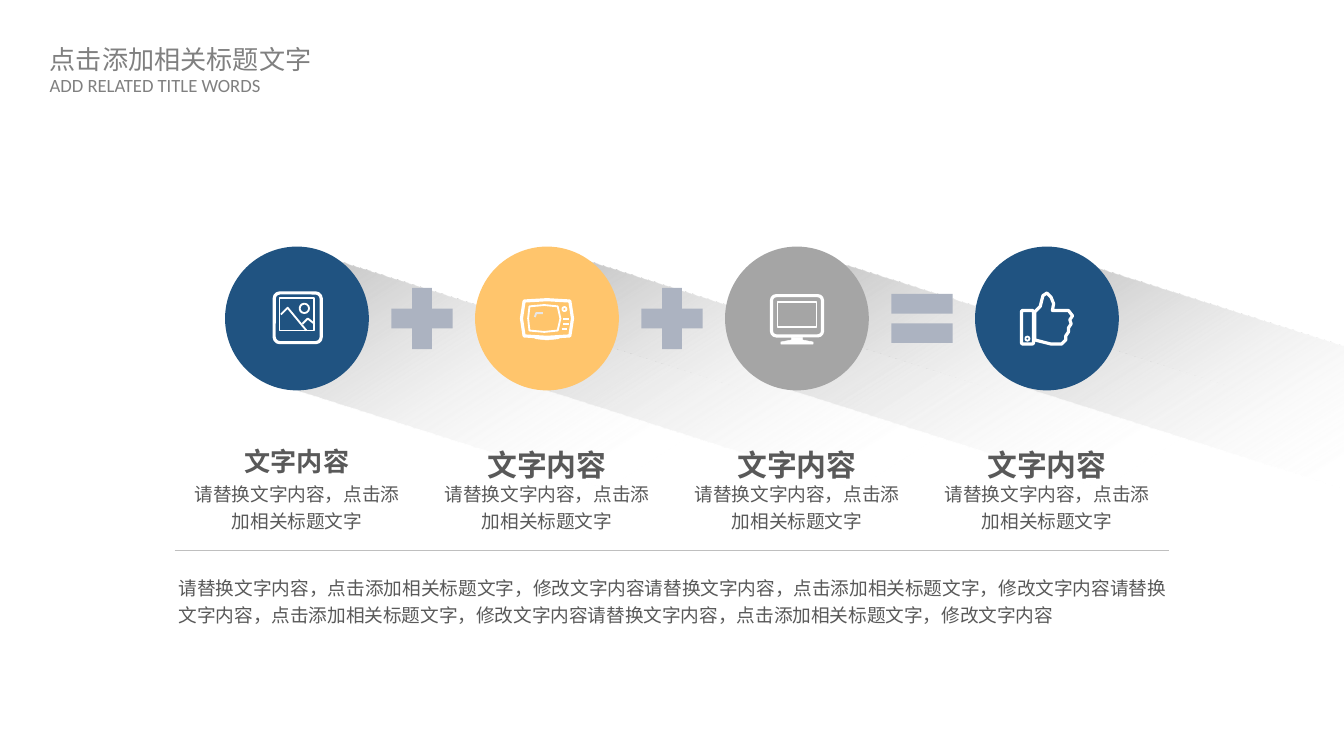
"""Build a slide that adds three icon circles up to a fourth."""
from lxml.etree import SubElement
from pptx import Presentation
from pptx.dml.color import RGBColor
from pptx.enum.shapes import MSO_CONNECTOR, MSO_SHAPE
from pptx.enum.text import PP_ALIGN
from pptx.oxml.ns import qn
from pptx.util import Inches, Pt

HUES = {"blue": "205381", "gold": "FFC56C", "gray": "A5A5A5", "sign": "ACB3C1",
        "text": "595959", "title": "808080", "rule": "BFBFBF", "white": "FFFFFF",
        "glare": "E7E6E6"}
BODY = "请替换文字内容，点击添加相关标题文字"
LONG = BODY + "，修改文字内容"
HEAD = "文字内容"
TITLES = [("点击添加相关标题文字", 0.28, 2.11, 0.31, 14, "Noto Sans CJK SC"),
          ("ADD RELATED TITLE WORDS", 0.51, 1.75, 0.24, 10, "Calibri")]
THICK, THIN = 1.7, 1

PHOTO = [("box", [-17, -19, 35, 37], THICK), ("rect", [-13, -15, 26, 24], THIN),
         ("oval", [2, -11, 7, 7], THIN),
         ("path", [(-12, -3), (-7, -8), (7, 9)], THIN),
         ("path", [(4, 4), (8, 0), (13, 4)], THIN)]
TELLY = [("loop", [(-17, -13), (0, -14), (17, -13), (19, 0), (17, 13), (0, 14),
                   (-17, 13), (-19, 0)], THICK),
         ("loop", [(-13, -9), (-2, -10), (8, -9), (10, 0), (8, 9), (-2, 10),
                   (-13, 9), (-14, 0)], THIN),
         ("oval", [11.5, -8.5, 3, 3], THIN),
         ("path", [(12, 0.5), (16, 0.5)], THIN), ("path", [(12, 4), (16, 4)], THIN),
         ("path", [(11, 8), (15, 8)], THIN),
         ("solid", [(-9, 14), (9, 14), (9, 15), (0, 16), (-9, 15)], 0.25),
         ("glare", [(-9, -1), (-8, -4), (-3, -4)], THIN)]
SCREEN = [("box", [-19, -17, 38, 30], THICK), ("rect", [-14.5, -12.5, 29, 19], THIN),
          ("solid", [(-4, 14), (4, 14), (4, 16), (12, 17.5), (12, 19), (-12, 19),
                     (-12, 17.5), (-4, 16)], 0.25)]
THUMB = [("box", [-19, -6, 9, 25], THICK), ("oval", [-16, 13.5, 3, 3], THIN),
         ("loop", [(-9, -5), (-5, -9), (-3, -17), (0, -19), (3, -16), (5, -11),
                   (4, -6), (16, -6), (19, -2), (17, 1), (18, 4), (16, 7),
                   (16, 10), (14, 13), (14, 16), (11, 19), (3, 19), (-9, 16)], THICK)]
ITEMS = [("blue", PHOTO, MSO_SHAPE.MATH_PLUS, 14, 0.79, 2.18),
         ("gold", TELLY, MSO_SHAPE.MATH_PLUS, 16, 0.9, 4.04),
         ("gray", SCREEN, MSO_SHAPE.MATH_EQUAL, 16, 0.9, 5.87),
         ("blue", THUMB, None, 16, 0.9, 7.67)]
KINDS = {"box": MSO_SHAPE.ROUNDED_RECTANGLE, "rect": MSO_SHAPE.RECTANGLE,
         "oval": MSO_SHAPE.OVAL}
FIRST, STEP, ROW, DISC, SIGN, WIDE = 2.21, 1.86, 2.37, 1.07, 0.62, 1.58

deck = Presentation()
deck.slide_width, deck.slide_height = Inches(10), Inches(10 * 9 / 16)
shapes = deck.slides.add_slide(deck.slide_layouts[6]).shapes


def hue(name):
    return RGBColor.from_string(HUES[name])


def paint(shape, fill=None, line=None, width=1):
    shape.shadow.inherit = False
    if fill:
        shape.fill.solid()
        shape.fill.fore_color.rgb = hue(fill)
    else:
        shape.fill.background()
    if line:
        shape.line.color.rgb, shape.line.width = hue(line), Pt(width)
    else:
        shape.line.fill.background()


def add(kind, *box):
    return shapes.add_shape(kind, *map(Inches, box))


def write(text, box, size, wrap=True, bold=False, align=PP_ALIGN.CENTER,
          font="Arial", tone="text", pad=(0, 0), space=1.2):
    frame = shapes.add_textbox(*map(Inches, box)).text_frame
    para = frame.paragraphs[0]
    run = para.add_run()
    side, top = map(Inches, pad)
    looks = [(frame, {"word_wrap": wrap, "margin_left": side, "margin_right": side,
                      "margin_top": top, "margin_bottom": top}),
             (para, {"alignment": align, "line_spacing": space}),
             (run, {"text": text}),
             (run.font, {"name": font, "size": Pt(size), "bold": bold})]
    for part, look in looks:
        for key, value in look.items():
            setattr(part, key, value)
    run.font.color.rgb = hue(tone)


def shade(left):
    beam = add(MSO_SHAPE.RECTANGLE, left, 2.7, 5.29, 1.01)
    paint(beam)
    beam.rotation = 17.6
    beam.fill.gradient()
    beam.fill.gradient_angle = 320
    for stop, name, spot in zip(beam.fill.gradient_stops, ("rule", "white"), (0, 0.54)):
        stop.color.rgb, stop.position = hue(name), spot
    tint = list(beam.element.iter(qn("a:srgbClr")))[-1]
    SubElement(tint, qn("a:alpha"), val="0")


def draw(icon, mid):
    for kind, data, width in icon:
        if kind in KINDS:
            x, y, w, h = (n / 100 for n in data)
            part = add(KINDS[kind], mid + x, ROW + y, w, h)
            if kind == "box":
                part.adjustments[0] = 0.12
        else:
            dots = [(Inches(mid + x / 100), Inches(ROW + y / 100)) for x, y in data]
            pen = shapes.build_freeform(*dots[0])
            pen.add_line_segments(dots[1:], close=kind in ("loop", "solid"))
            part = pen.convert_to_shape()
        paint(part, "white" if kind == "solid" else None,
              "glare" if kind == "glare" else "white", width)


for text, top, width, high, size, font in TITLES:
    write(text, (0.29, top, width, high), size, False, align=PP_ALIGN.LEFT,
          font=font, tone="title", pad=(0.08, 0.04), space=1)
for item in reversed(ITEMS):
    shade(item[-1])
for col, (tone, icon, sign, size, width, _) in enumerate(ITEMS):
    mid = FIRST + col * STEP
    paint(add(MSO_SHAPE.OVAL, mid - DISC / 2, ROW - DISC / 2, DISC, DISC), tone)
    if sign:
        paint(add(sign, mid + (STEP - SIGN) / 2, ROW - SIGN / 2, SIGN, SIGN), "sign")
    draw(icon, mid)
    write(HEAD, (mid - width / 2, 3.27, width, size / 50), size, False, True)
    write(BODY, (mid - WIDE / 2, 3.56, WIDE, 0.4), 10)

rule = shapes.add_connector(MSO_CONNECTOR.STRAIGHT, *map(Inches, (1.3, 4.1, 8.7, 4.1)))
rule.line.color.rgb, rule.line.width = hue("rule"), Pt(0.5)
SubElement(rule.element.spPr, qn("a:effectLst"))
write("".join([LONG] * 4), (1.33, 4.26, 7.34, 0.53), 10, align=PP_ALIGN.JUSTIFY)
deck.save("out.pptx")
